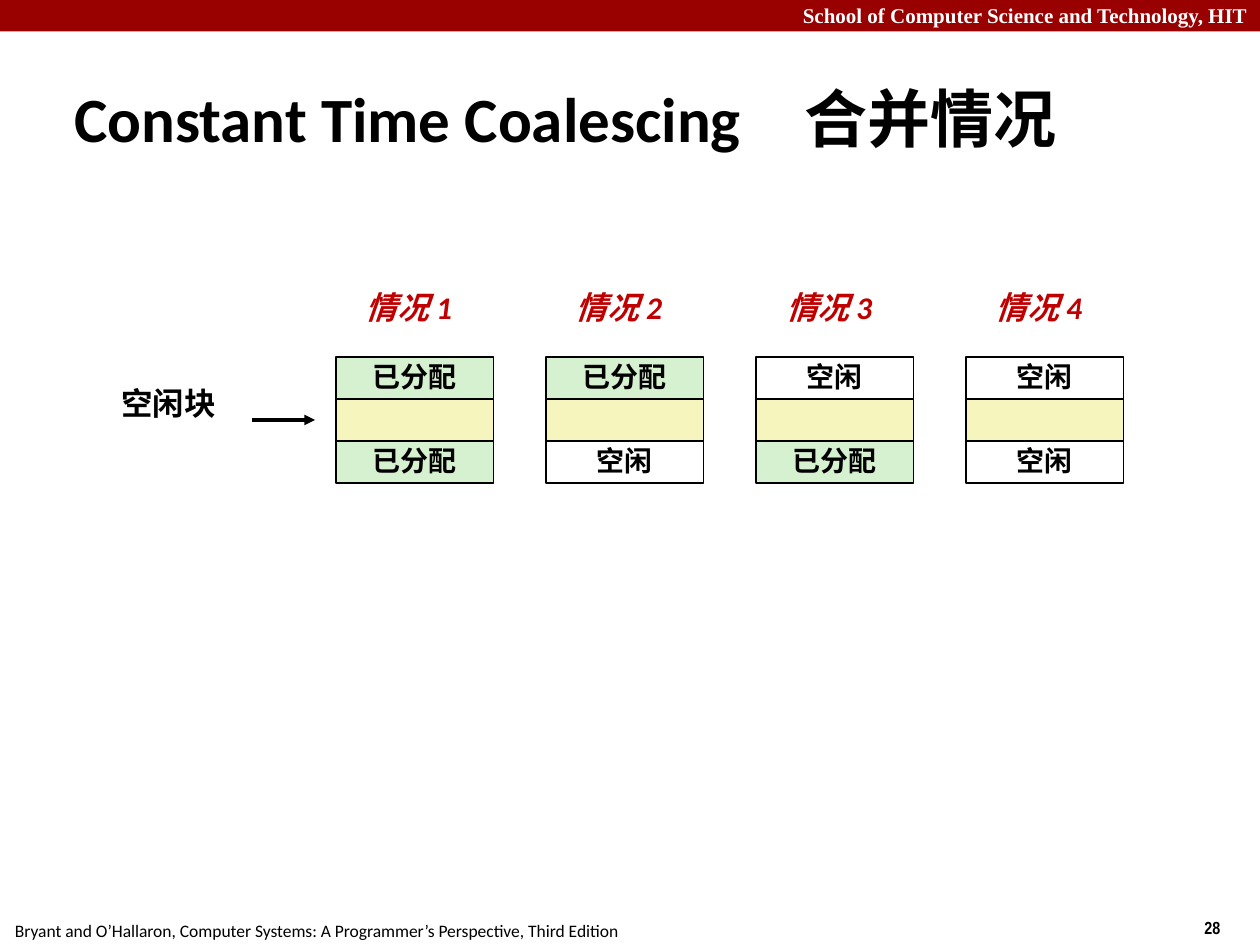
from lxml import etree
from pptx import Presentation
from pptx.dml.color import RGBColor
from pptx.enum.shapes import MSO_CONNECTOR, MSO_SHAPE
from pptx.enum.text import MSO_ANCHOR, PP_ALIGN
from pptx.oxml.ns import qn
from pptx.util import Inches, Pt

RECTANGLE = MSO_SHAPE.RECTANGLE
STRAIGHT = MSO_CONNECTOR.STRAIGHT
MIDDLE, TOP = MSO_ANCHOR.MIDDLE, MSO_ANCHOR.TOP
LEFT, CENTER, RIGHT = PP_ALIGN.LEFT, PP_ALIGN.CENTER, PP_ALIGN.RIGHT

BLACK = RGBColor(0x00, 0x00, 0x00)
WHITE = RGBColor(0xFF, 0xFF, 0xFF)
BANNER_RED = RGBColor(0x99, 0x00, 0x00)
CASE_RED = RGBColor(0xC0, 0x00, 0x00)
GREEN = RGBColor(0xD5, 0xF1, 0xCF)
YELLOW = RGBColor(0xF6, 0xF5, 0xBD)

# The diagram sits on a grid of sixths of an inch.
UNIT = 1 / 6
FIRST_COLUMN, COLUMN_PITCH, BLOCK_WIDTH = 16 * UNIT, 10 * UNIT, 7.5 * UNIT
FIRST_ROW, ROW_HEIGHT = 17 * UNIT, 2 * UNIT

ALLOCATED, FREE, FREED = "已分配", "空闲", ""
BLOCK_FILLS = {ALLOCATED: GREEN, FREE: WHITE, FREED: YELLOW}
CASES = [
    (ALLOCATED, FREED, ALLOCATED),
    (ALLOCATED, FREED, FREE),
    (FREE, FREED, ALLOCATED),
    (FREE, FREED, FREE),
]


def write(shape, text, align=LEFT, anchor=TOP, wrap=False, spacing=None,
          color=BLACK, **font_format):
    frame = shape.text_frame
    frame.word_wrap = wrap
    frame.vertical_anchor = anchor
    paragraph = frame.paragraphs[0]
    paragraph.alignment = align
    paragraph.line_spacing = spacing
    run = paragraph.add_run()
    run.text = text
    run.font.color.rgb = color
    for name, value in {"name": "Calibri", **font_format}.items():
        setattr(run.font, name, value)


def add_label(slide, box, text, **text_format):
    label = slide.shapes.add_textbox(*map(Inches, box))
    write(label, text, **text_format)


def add_box(slide, box, fill, line=None):
    shape = slide.shapes.add_shape(RECTANGLE, *map(Inches, box))
    shape.shadow.inherit = False
    shape.fill.solid()
    shape.fill.fore_color.rgb = fill
    if line is None:
        shape.line.fill.background()
    else:
        shape.line.color.rgb = line
        shape.line.width = Pt(1)
    return shape


def add_arrow(slide, start, end):
    arrow = slide.shapes.add_connector(STRAIGHT, *map(Inches, start + end))
    arrow.line.color.rgb = BLACK
    arrow.line.width = Pt(2)
    etree.SubElement(arrow.line._get_or_add_ln(), qn("a:tailEnd"), type="triangle")
    etree.SubElement(arrow._element.spPr, qn("a:effectLst"))


def add_case(slide, index, states):
    """Draw one case: its heading above a column of three memory blocks."""
    left = FIRST_COLUMN + index * COLUMN_PITCH
    add_label(slide, (left + 0.14, 2.25, 0.94, 0.4), f"情况 {index + 1}",
              spacing=0.98, color=CASE_RED, size=Pt(18), bold=True, italic=True)
    for row, state in enumerate(states):
        top = FIRST_ROW + row * ROW_HEIGHT
        block = add_box(slide, (left, top, BLOCK_WIDTH, ROW_HEIGHT),
                        BLOCK_FILLS[state], BLACK)
        if state:
            write(block, state, align=CENTER, anchor=MIDDLE, spacing=0.98,
                  size=Pt(16), bold=True)


def add_page_frame(slide):
    """Draw the banner, the footer and the page number."""
    add_box(slide, (0, 0, 10, 0.25), BANNER_RED)
    add_label(slide, (0, -0.03, 10, 0.3),
              "School of Computer Science and Technology, HIT", align=RIGHT,
              wrap=True, color=WHITE, name="Times New Roman", size=Pt(12), bold=True)
    add_label(slide, (0.02, 7.25, 5.01, 0.27),
              "Bryant and O’Hallaron, Computer Systems: "
              "A Programmer’s Perspective, Third Edition", size=Pt(10))
    add_label(slide, (9.46, 7.23, 0.75, 0.27), "28",
              name="Arial Narrow", size=Pt(10), bold=True)


def main():
    presentation = Presentation()
    presentation.slide_width = Inches(10)
    presentation.slide_height = Inches(7.5)
    slide = presentation.slides.add_slide(presentation.slide_layouts[6])

    add_page_frame(slide)
    add_label(slide, (0.49, 0.62, 8.85, 0.63), "Constant Time Coalescing　合并情况",
              anchor=MIDDLE, wrap=True, size=Pt(36), bold=True)
    for index, states in enumerate(CASES):
        add_case(slide, index, states)

    middle = FIRST_ROW + 1.5 * ROW_HEIGHT
    add_label(slide, (0.86, 3.01, 0.95, 0.4), "空闲块", align=RIGHT,
              spacing=0.98, size=Pt(18), bold=True)
    add_arrow(slide, (12 * UNIT, middle), (15 * UNIT, middle))
    presentation.save("out.pptx")


if __name__ == "__main__":
    main()
